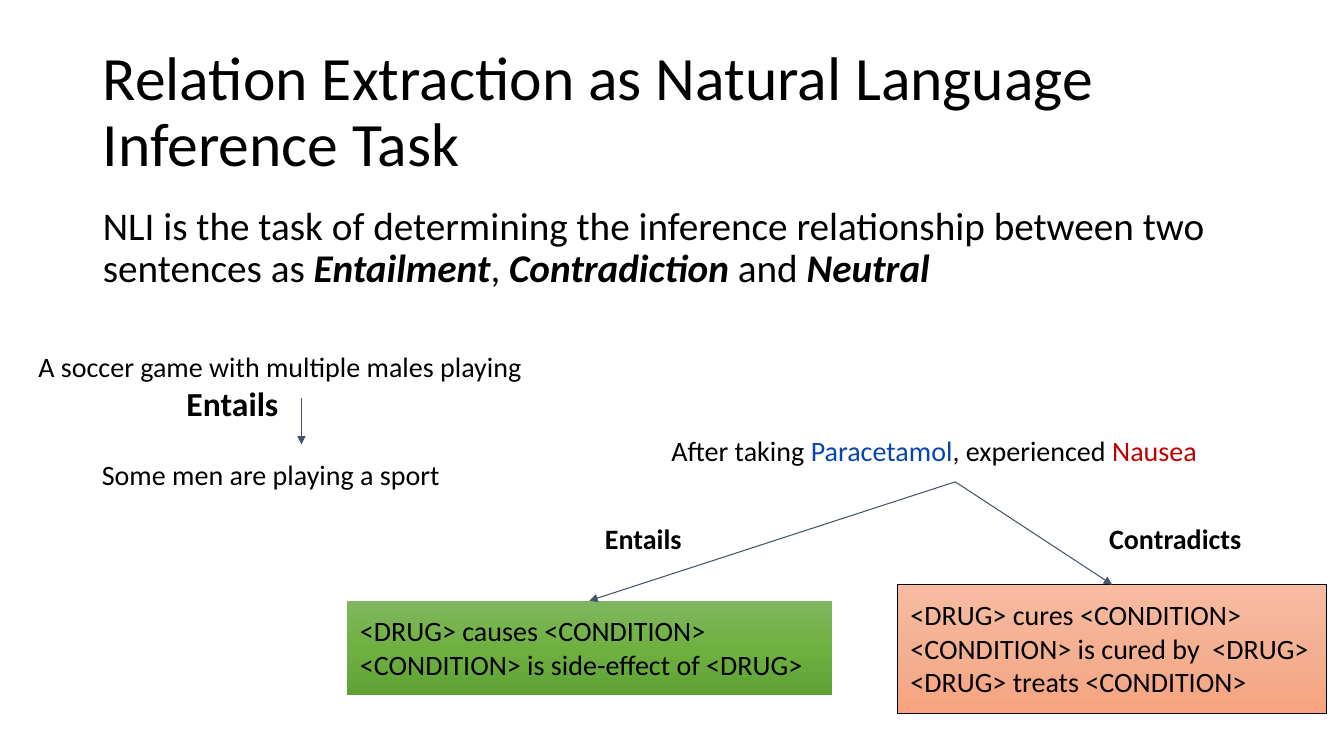
from copy import deepcopy

from pptx import Presentation
from pptx.dml.color import RGBColor
from pptx.enum.shapes import MSO_CONNECTOR as CONNECTOR, MSO_SHAPE as SHAPE
from pptx.enum.text import MSO_ANCHOR as ANCHOR, MSO_AUTO_SIZE as AUTO_SIZE, PP_ALIGN as ALIGN
from pptx.oxml.ns import qn
from pptx.util import Emu, Pt

SCALE = 9144  # EMU in one px, 100 px to the inch
FONT = "Calibri"
COLORS = {
    "text": "000000",
    "arrow": "44546A",
    "drug": "0645AD",
    "condition": "C00000",
}
GRADIENTS = {
    "entailed": ("7FB75F", "6EB141", "5FA134"),
    "contradicted": ("F7BCA2", "F4B093", "F7A47F"),
}
TOP, BOTTOM = 0, 2


def px(*lengths):
    return [Emu(length * SCALE) for length in lengths]


def rgb(name):
    return RGBColor.from_string(COLORS[name])


def write(shape, lines, size, bold=None, spacing=None, inset=13, anchor=ANCHOR.TOP):
    """Fill a shape with lines, each a list of (text, color name, emphasized) runs."""
    frame = shape.text_frame
    frame.word_wrap = True
    frame.auto_size = AUTO_SIZE.NONE
    frame.vertical_anchor = anchor
    frame.margin_left, frame.margin_right = px(inset, inset)
    frame.margin_top, frame.margin_bottom = px(min(inset, 13), min(inset, 13))
    for index, line in enumerate(lines):
        paragraph = frame.add_paragraph() if index else frame.paragraphs[0]
        paragraph.alignment = ALIGN.LEFT
        paragraph.line_spacing = spacing
        paragraph.space_before = Pt(0)
        paragraph.font.name = FONT
        paragraph.font.size = Pt(size)
        paragraph.font.bold = bold
        paragraph.font.color.rgb = rgb("text")
        for text, color, emphasized in line:
            run = paragraph.add_run()
            run.text = text
            run.font.color.rgb = rgb(color)
            if emphasized:
                run.font.bold = run.font.italic = True


def plain(*texts):
    return [[(text, "text", False)] for text in texts]


def fill_placeholder(placeholder, box, lines, size, anchor):
    placeholder.left, placeholder.top, placeholder.width, placeholder.height = px(*box)
    properties = placeholder.text_frame.paragraphs[0]._p.get_or_add_pPr()
    properties.set("marL", "0")
    properties.set("indent", "0")
    properties.append(properties.makeelement(qn("a:buNone"), {}))
    write(placeholder, lines, size, spacing=0.9, inset=10, anchor=anchor)
    placeholder.text_frame.margin_top, placeholder.text_frame.margin_bottom = px(5, 5)


def add_sentence(slide, box, lines, size=20, **style):
    sentence = slide.shapes.add_textbox(*px(*box))
    write(sentence, lines, size, **style)
    return sentence


def add_hypotheses(slide, box, gradient, lines, outlined=False):
    hypotheses = slide.shapes.add_shape(SHAPE.RECTANGLE, *px(*box))
    hypotheses.shadow.inherit = False
    fill = hypotheses.fill
    fill.gradient()
    fill.gradient_angle = 270
    first_stop = next(hypotheses._element.spPr.iter(qn("a:gs")))
    first_stop.addnext(deepcopy(first_stop))
    for stop, color, position in zip(fill.gradient_stops, GRADIENTS[gradient], (0, 0.5, 1)):
        stop.color.rgb = RGBColor.from_string(color)
        stop.position = position
    if outlined:
        hypotheses.line.color.rgb = rgb("text")
        hypotheses.line.width = Pt(0.75)
    else:
        hypotheses.line.fill.background()
    write(hypotheses, plain(*lines), 20)
    return hypotheses


def add_arrow(slide, premise, end=(0, 0), target=None):
    """Point from the bottom of the premise to a target's top, or to a free end."""
    arrow = slide.shapes.add_connector(CONNECTOR.STRAIGHT, *px(0, 0, *end))
    arrow.begin_connect(premise, BOTTOM)
    if target is not None:
        arrow.end_connect(target, TOP)
    arrow.line.color.rgb = rgb("arrow")
    arrow.line.width = Pt(0.75)
    line = arrow.line._get_or_add_ln()
    line.append(line.makeelement(qn("a:tailEnd"), {"type": "triangle"}))
    properties = arrow._element.spPr
    properties.append(properties.makeelement(qn("a:effectLst"), {}))


def main():
    presentation = Presentation()
    presentation.slide_width, presentation.slide_height = px(1333, 750)
    slide = presentation.slides.add_slide(presentation.slide_layouts[1])

    fill_placeholder(
        slide.shapes.title, (92, 40, 1150, 145),
        plain("Relation Extraction as Natural Language Inference Task"), 44, ANCHOR.MIDDLE)
    definition = [
        ("NLI is the task of determining the inference relationship between two sentences as ",
         "text", False),
        ("Entailment", "text", True),
        (", ", "text", False),
        ("Contradiction ", "text", True),
        ("and ", "text", False),
        ("Neutral", "text", True),
    ]
    fill_placeholder(slide.placeholders[1], (92, 200, 1150, 113), [definition], 28, ANCHOR.TOP)

    soccer = add_sentence(
        slide, (25, 334, 548, 61), plain("A soccer game with multiple males playing"))
    add_sentence(slide, (88, 441, 432, 61), plain("Some men are playing a sport"))
    add_arrow(slide, soccer, end=(299, 441))

    treatment = [
        ("After taking ", "text", False),
        ("Paracetamol", "drug", False),
        (", experienced ", "text", False),
        ("Nausea", "condition", False),
    ]
    premise = add_sentence(slide, (653, 417, 589, 61), [treatment])
    entailed = add_hypotheses(
        slide, (344, 596, 481, 94), "entailed",
        ("<DRUG> causes <CONDITION>", "<CONDITION> is side-effect of <DRUG>"))
    contradicted = add_hypotheses(
        slide, (890, 580, 426, 128), "contradicted",
        ("<DRUG> cures <CONDITION>", "<CONDITION> is cured by  <DRUG>",
         "<DRUG> treats <CONDITION>"), outlined=True)

    for box, relation, size in (
        ((172, 371, 127, 79), "Entails", 24),
        ((587, 508, 127, 73), "Entails", 20),
        ((1087, 508, 178, 73), "Contradicts", 20),
    ):
        add_sentence(slide, box, plain(relation), size, bold=True, spacing=0.9)
    for hypotheses in (entailed, contradicted):
        add_arrow(slide, premise, target=hypotheses)

    presentation.save("out.pptx")


if __name__ == "__main__":
    main()
